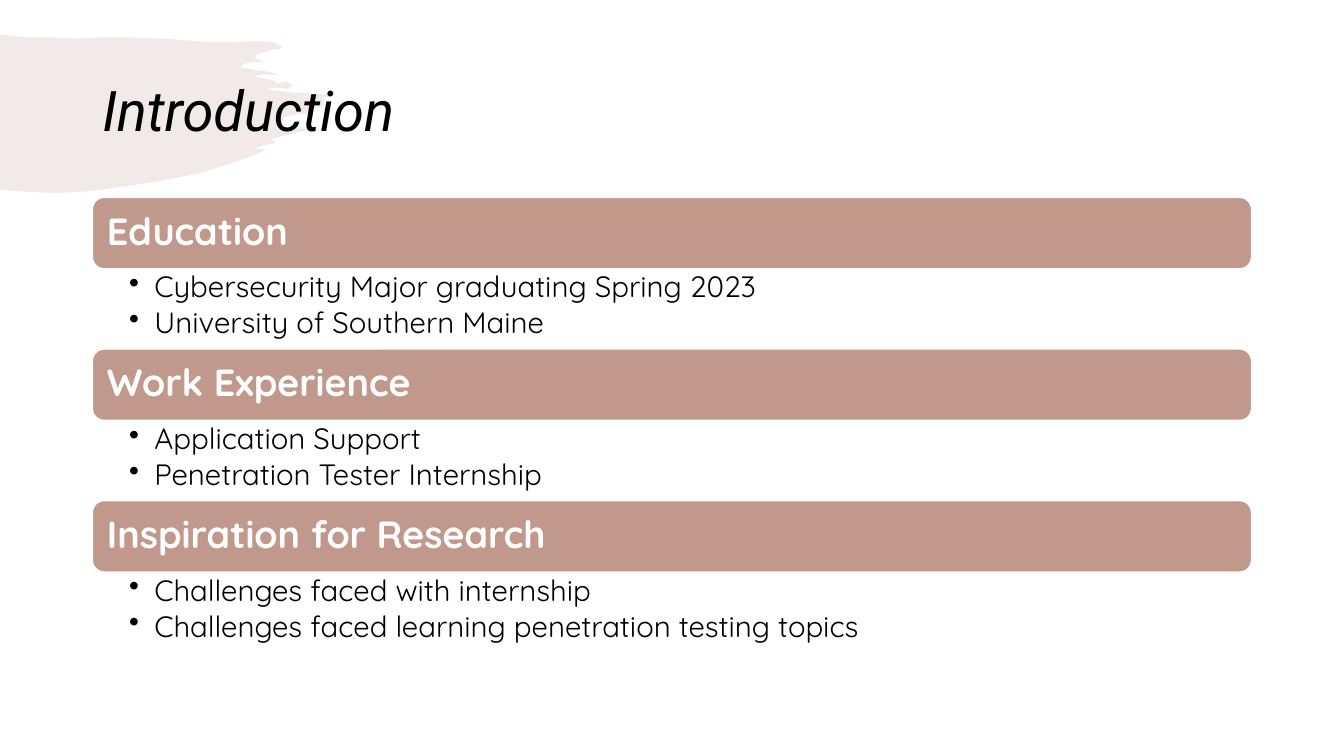
import pptx
import pptx.dml.color
import pptx.enum.shapes
import pptx.enum.text
import pptx.oxml
import pptx.oxml.ns
import pptx.util

Pt = pptx.util.Pt
ROSE, WHITE, BLACK = "C1988C", "FFFFFF", "000000"


def paint(target, color):
    """Give a fill, line or font its colour."""
    if hasattr(target, "solid"):
        target.solid()
        target = target.fore_color
    else:
        target = target.color
    target.rgb = pptx.dml.color.RGBColor.from_string(color)


def write(shape, lines, frame, para, font, color):
    """Put lines into a shape, with formats given as dicts."""
    box = shape.text_frame
    box.text = "\n".join(lines)
    for key, value in frame.items():
        setattr(box, key, value)
    for line in box.paragraphs:
        for key, value in para.items():
            setattr(line, key, value)
        for key, value in font.items():
            setattr(line.runs[0].font, key, value)
        paint(line.runs[0].font, color)


deck = pptx.Presentation()
deck.slide_width, deck.slide_height = Pt(960), Pt(540)
slide = deck.slides.add_slide(deck.slide_layouts[6])
shapes = slide.shapes

# Brush stroke behind the title, in hundredths of an inch
brush = [
    (0, 34), (6, 35), (15, 36.5), (25, 37), (45, 37.3), (66, 38), (84, 38.2),
    (102, 37), (126, 36.7), (151, 38), (172, 39.2), (194, 41), (221, 41.9),
    (248, 41), (265, 40.8), (274, 42.8), (280, 47), (276, 48.7), (271, 49),
    (255, 54), (253, 57), (256, 59), (259, 59.7), (262, 62), (250, 62),
    (243, 62.8), (238, 66), (241, 67.6), (246, 68), (256, 70), (266, 71),
    (270, 71.7), (275, 74), (263, 74.2), (251, 75), (257, 76.9), (263, 78),
    (269, 78.8), (273, 81), (276, 82.8), (280, 82), (284, 81.4), (288, 83),
    (290, 85), (287, 88), (284, 88), (274, 87.4), (263, 88), (280, 91.3),
    (296, 92.5), (330, 94), (326, 95.5), (321, 97), (322.5, 104), (318, 106),
    (312, 107), (307, 111), (304, 112.8), (300, 113), (291, 113.8),
    (283, 116), (280, 120), (281, 122.6), (278, 125), (274, 128), (291, 127.3),
    (308, 128), (289, 133), (269, 138), (272, 139.5), (273, 142), (263, 144),
    (252, 148), (258, 147.8), (263, 148), (257, 152), (230, 162), (197, 172),
    (151, 180.6), (102, 188), (84, 190), (65, 191), (44, 191.2), (23, 190),
    (7, 189), (0, 188),
]
pen = shapes.build_freeform(*brush[0], scale=Pt(0.72))
pen.add_line_segments(brush[1:], close=True)
stroke = pen.convert_to_shape()
stroke.shadow.inherit = False
paint(stroke.fill, ROSE)
stroke.line.fill.background()
tint = stroke.fill._xPr.find(".//" + pptx.oxml.ns.qn("a:srgbClr"))
tint.append(pptx.oxml.parse_xml(
    f'<a:alpha {pptx.oxml.ns.nsdecls("a")} val="20000"/>'))

middle = pptx.enum.text.MSO_ANCHOR.MIDDLE
left = pptx.enum.text.PP_ALIGN.LEFT

title = shapes.add_textbox(Pt(66), Pt(28.75), Pt(828), Pt(104.4))
write(title, ["Introduction"],
      dict(word_wrap=True, vertical_anchor=middle),
      dict(line_spacing=0.9),
      dict(size=Pt(40), name="Roboto", italic=True), BLACK)

topics = {
    "Education": [
        "Cybersecurity Major graduating Spring 2023",
        "University of Southern Maine"],
    "Work Experience": [
        "Application Support",
        "Penetration Tester Internship"],
    "Inspiration for Research": [
        "Challenges faced with internship",
        "Challenges faced learning penetration testing topics"],
}
high, deep = 51, 57.3
for row, (head, items) in enumerate(topics.items()):
    top = 141 + row * (high + deep)
    bar = shapes.add_shape(pptx.enum.shapes.MSO_SHAPE.ROUNDED_RECTANGLE,
                           Pt(66), Pt(top), Pt(828), Pt(high))
    bar.shadow.inherit = False
    paint(bar.fill, ROSE)
    paint(bar.line, WHITE)
    bar.line.width = Pt(1)
    write(bar, [head],
          dict(word_wrap=True, vertical_anchor=middle,
               margin_left=Pt(8), margin_right=Pt(8)),
          dict(line_spacing=0.9, alignment=left),
          dict(size=Pt(27), name="Quicksand", bold=True), WHITE)

    notes = shapes.add_textbox(Pt(66), Pt(top + high), Pt(828), Pt(deep))
    write(notes, items,
          dict(word_wrap=True, margin_left=Pt(26.3), margin_right=Pt(15),
               margin_top=Pt(2.7), margin_bottom=Pt(2.7)),
          dict(line_spacing=0.9, space_after=Pt(3), level=1),
          dict(size=Pt(21), name="Quicksand"), BLACK)
    for line in notes.text_frame.paragraphs:
        props = line._p.get_or_add_pPr()
        props.set("marL", str(Pt(18)))
        props.set("indent", str(-Pt(18)))
        props.append(pptx.oxml.parse_xml(
            f'<a:buChar {pptx.oxml.ns.nsdecls("a")} char="•"/>'))

deck.save("out.pptx")
